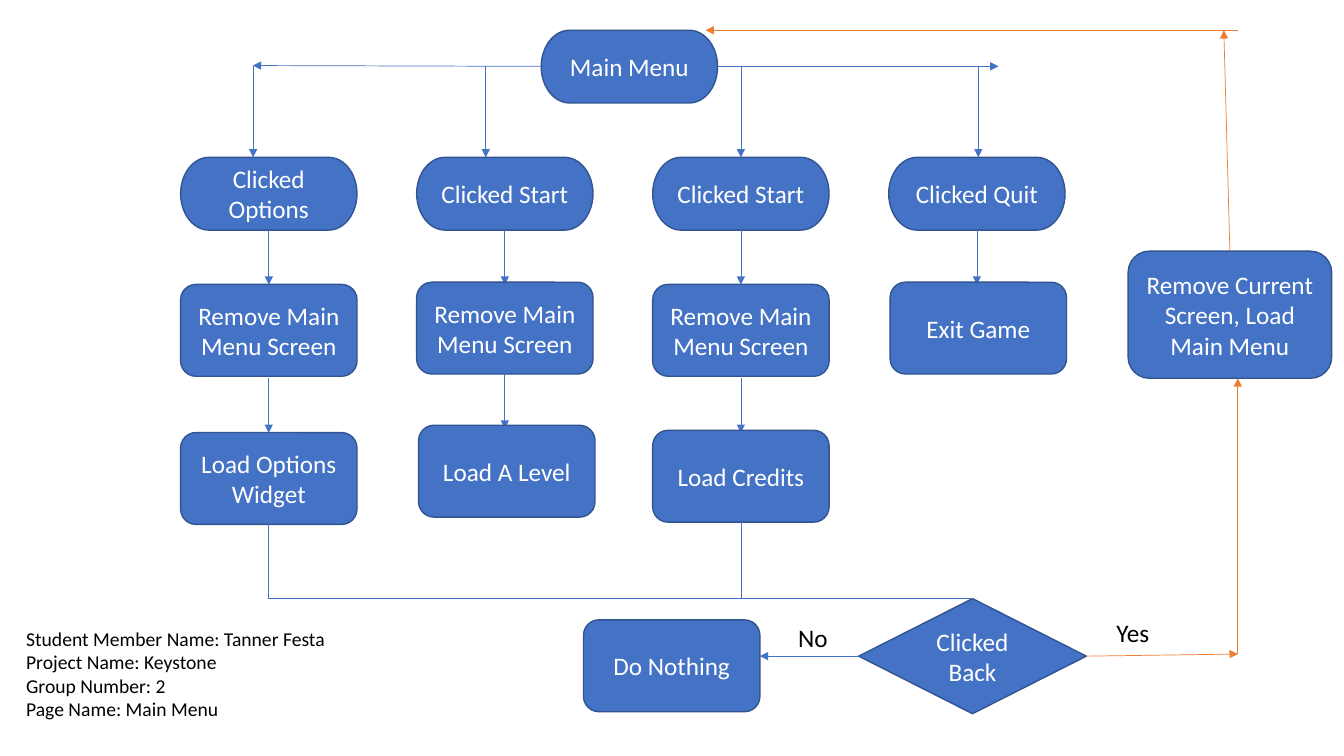
from dataclasses import dataclass

from lxml.etree import SubElement
from pptx import Presentation
from pptx.dml.color import RGBColor
from pptx.enum.shapes import MSO_CONNECTOR as Connector, MSO_SHAPE as Shape
from pptx.enum.text import MSO_ANCHOR as Anchor, PP_ALIGN as Align
from pptx.oxml.ns import qn
from pptx.util import Pt


@dataclass(frozen=True)
class Theme:
    """Colours, type sizes and line widths of the chart."""
    font: str = "Calibri"
    fill: str = "4472C4"
    edge: str = "325491"
    flow: str = "4472C4"
    back: str = "ED7D31"
    light: str = "FFFFFF"
    dark: str = "000000"
    node_size: float = 18
    detail_size: float = 14
    edge_width: float = 1
    flow_width: float = 0.5


@dataclass(frozen=True)
class Box:
    """A rectangle in points."""
    left: float
    top: float
    width: float
    height: float

    @property
    def right(self):
        """Right edge."""
        return self.left + self.width

    @property
    def bottom(self):
        """Bottom edge."""
        return self.top + self.height

    @property
    def center(self):
        """Horizontal centre."""
        return self.left + self.width / 2

    @property
    def middle(self):
        """Vertical centre."""
        return self.top + self.height / 2

    def inner(self, dx, dy, width, height):
        """Return a box placed relative to this one."""
        return Box(self.left + dx, self.top + dy, width, height)

    def lengths(self):
        """Return the four measures as lengths."""
        return [Pt(v) for v in (self.left, self.top, self.width, self.height)]


THEME = Theme()
NODE_WIDTH, ENTRY_HEIGHT, STEP_HEIGHT = 126, 52, 65.6
BUS_Y = 47.4
COLUMN_LEFT, COLUMN_TOP, COLUMN_PITCH = 129, 112.4, 168.6
ARROW_LENGTH = 39


def write(frame, lines, size=THEME.node_size, color=THEME.dark, align=Align.LEFT,
          anchor=Anchor.TOP, wrap=True):
    """Fill a text frame, one paragraph per line."""
    frame.word_wrap = wrap
    frame.vertical_anchor = anchor
    for index, text in enumerate(lines):
        para = frame.paragraphs[0] if index == 0 else frame.add_paragraph()
        para.alignment = align
        span = para.add_run()
        span.text = text
        span.font.name = THEME.font
        span.font.size = Pt(size)
        span.font.color.rgb = RGBColor.from_string(color)


def add_node(page, kind, box, text):
    """Draw one labelled flowchart node."""
    node = page.shapes.add_shape(kind, *box.lengths())
    node.shadow.inherit = False
    node.fill.solid()
    node.fill.fore_color.rgb = RGBColor.from_string(THEME.fill)
    node.line.color.rgb = RGBColor.from_string(THEME.edge)
    node.line.width = Pt(THEME.edge_width)
    write(node.text_frame, [text], color=THEME.light, align=Align.CENTER,
          anchor=Anchor.MIDDLE)


def add_label(page, box, lines, **style):
    """Draw a plain text box."""
    write(page.shapes.add_textbox(*box.lengths()).text_frame, lines, **style)


def add_flow(page, start, end, color=THEME.flow, arrow=True):
    """Draw a straight line, with an arrowhead at its end if asked."""
    flow = page.shapes.add_connector(
        Connector.STRAIGHT, *[Pt(v) for v in (*start, *end)])
    flow.line.color.rgb = RGBColor.from_string(color)
    flow.line.width = Pt(THEME.flow_width)
    if arrow:
        SubElement(flow.line._get_or_add_ln(), qn("a:tailEnd"), type="triangle")
    SubElement(flow._element.spPr, qn("a:effectLst"))


def draw_main_menu(page, box):
    """Draw the main menu node and its two side arrows."""
    add_node(page, Shape.FLOWCHART_TERMINATOR, box, "Main Menu")
    add_flow(page, (box.left, BUS_Y), (box.left - 206, BUS_Y - 0.6))
    add_flow(page, (box.right, BUS_Y), (box.right + 200.6, BUS_Y))


def draw_branch(page, box, entry, drop, steps, rail=None):
    """Draw a column: drop arrow, entry node, then steps of (text, dx, dy)."""
    add_flow(page, (box.left + drop, BUS_Y), (box.left + drop, box.top))
    entry_box = box.inner(0, 0, box.width, ENTRY_HEIGHT)
    add_node(page, Shape.FLOWCHART_TERMINATOR, entry_box, entry)
    start = entry_box.bottom
    for text, dx, dy in steps:
        step = box.inner(dx, dy, box.width, STEP_HEIGHT)
        add_flow(page, (box.center, start), (box.center, start + ARROW_LENGTH))
        add_node(page, Shape.ROUNDED_RECTANGLE, step, text)
        start = step.bottom + (step.top - box.top - 89.2) * 0.9
    if rail:
        add_flow(page, (box.center, step.bottom), (box.center, rail), arrow=False)


def draw_back_choice(page, box):
    """Draw the back decision with its two outcomes."""
    decision = box.inner(196.6, 0, 162.6, 82.2)
    nothing = box.inner(0, 15.2, NODE_WIDTH, STEP_HEIGHT)
    add_node(page, Shape.FLOWCHART_DECISION, decision, "Clicked Back")
    add_node(page, Shape.ROUNDED_RECTANGLE, nothing, "Do Nothing")
    add_flow(page, (decision.left, decision.middle), (nothing.right, decision.middle))
    add_flow(page, (decision.right, decision.middle), (box.right, box.top + 39.6),
             color=THEME.back)
    add_label(page, box.inner(146.2, 13.4, 36, 29), ["No"], wrap=False)
    add_label(page, box.inner(373.6, 10, 60, 29), ["Yes"])
    add_flow(page, (COLUMN_LEFT + NODE_WIDTH / 2, box.top),
             (decision.center, box.top), arrow=False)


def draw_return(page, box, rail_x, menu, choice):
    """Draw the node that leads back to the main menu, with its arrows."""
    add_node(page, Shape.ROUNDED_RECTANGLE, box, "Remove Current Screen, Load Main Menu")
    for start, end in (
        ((rail_x, choice.top + 39.6), (rail_x, box.bottom)),
        ((box.center, box.top), (box.center - 4.3, menu.top)),
        ((rail_x, menu.top), (menu.right - 8.6, menu.top)),
    ):
        add_flow(page, start, end, color=THEME.back)


def draw_details(page, box):
    """Write the project details."""
    add_label(page, box, [
        "Student Member Name: Tanner Festa", "Project Name: Keystone",
        "Group Number: 2", "Page Name: Main Menu",
    ], size=THEME.detail_size)


REMOVE = "Remove Main Menu Screen"
MENU = Box(386.6, 21.6, NODE_WIDTH, ENTRY_HEIGHT)
CHOICE = Box(416.8, 427.6, 467.4, 82.2)
BRANCHES = [
    ("Clicked Options", 51.8, [(REMOVE, 0, 90.8), ("Load Options Widget", 0, 196.6)], CHOICE.top),
    ("Clicked Start", 49.4, [(REMOVE, 0, 89.2), ("Load A Level", 1.4, 191.4)], None),
    ("Clicked Start", 63, [(REMOVE, 0, 90.8), ("Load Credits", 0, 195)], CHOICE.top),
    ("Clicked Quit", 64, [("Exit Game", 1, 89.2)], None),
]

deck = Presentation()
deck.slide_width, deck.slide_height = Pt(960), Pt(540)
page = deck.slides.add_slide(deck.slide_layouts[6])
draw_details(page, Box(11.6, 444.2, 309.6, 75))
draw_main_menu(page, MENU)
for index, (entry, drop, steps, rail) in enumerate(BRANCHES):
    column = Box(COLUMN_LEFT + index * COLUMN_PITCH, COLUMN_TOP, NODE_WIDTH, 262)
    draw_branch(page, column, entry, drop, steps, rail)
draw_back_choice(page, CHOICE)
draw_return(page, Box(805.8, 179.4, 145.4, 90.8), CHOICE.right, MENU, CHOICE)
deck.save("out.pptx")
